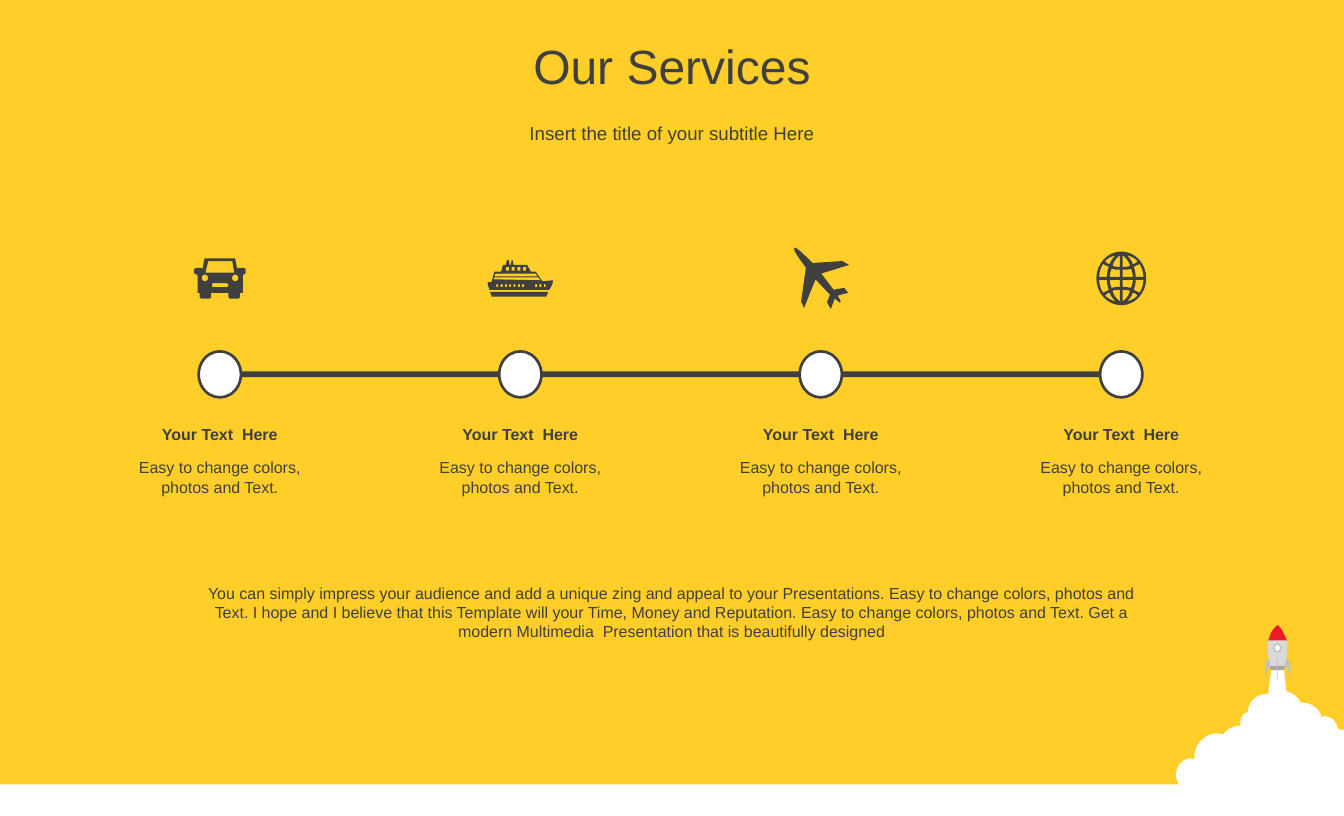
from pptx import Presentation
from pptx.dml.color import RGBColor as RGB
from pptx.enum.shapes import MSO_SHAPE as SHAPE
from pptx.enum.text import MSO_ANCHOR as ANCHOR, PP_ALIGN as ALIGN
from pptx.util import Pt

COLORS = {"back": "FFCE29", "dark": "404040", "white": "FFFFFF", "body": "D9D9D9",
          "base": "A6A6A6", "fin": "BFBFBF", "nose": "ED1C24"}
UNIT = 0.72  # points per step of the drawing grid


# Outlines on the grid: a pair is a corner, six numbers are a curve
def rect(x, y, w, h):
    return [(x, y), (x + w, y), (x + w, y + h), (x, y + h)]


def oval(cx, cy, rx, ry):
    a, b = 0.55 * rx, 0.55 * ry
    return [(cx + rx, cy),
            (cx + rx, cy + b, cx + a, cy + ry, cx, cy + ry),
            (cx - a, cy + ry, cx - rx, cy + b, cx - rx, cy),
            (cx - rx, cy - b, cx - a, cy - ry, cx, cy - ry),
            (cx + a, cy - ry, cx + rx, cy - b, cx + rx, cy)]


def flip(line, sx, sy, dx=0, dy=0):
    return [tuple(dy + sy * v if i % 2 else dx + sx * v for i, v in enumerate(step))
            for step in line]


def trace(line):
    spots = [line[0]]
    for step in line[1:]:
        ends = [spots[-1]] + list(zip(step[::2], step[1::2]))
        if len(ends) == 2:
            spots.append(step)
            continue
        for t in (i / 8 for i in range(1, 9)):
            u = 1 - t
            mix = (u ** 3, 3 * u * u * t, 3 * u * t * t, t ** 3)
            spots.append(tuple(sum(m * p[k] for m, p in zip(mix, ends)) for k in (0, 1)))
    return [(Pt(x * UNIT), Pt(y * UNIT)) for x, y in spots]


CAR = [
    [(43, 0), (45, 11), (46, 10, 47, 10, 47, 10), (51, 10), (53, 10, 54, 11, 54, 13),
     (54, 14), (54, 16, 53, 17, 51, 17), (51, 36), (48, 36), (48, 40),
     (48, 41, 47, 42, 46, 42), (38, 42), (37, 42, 36, 41, 36, 40), (36, 36), (18, 36),
     (18, 40), (18, 41, 17, 42, 16, 42), (8, 42), (7, 42, 6, 41, 6, 40), (6, 36),
     (4, 36), (4, 18), (3, 17), (2, 17, 0, 16, 0, 14), (0, 13), (0, 11, 2, 10, 3, 10),
     (7, 10), (8, 10, 8, 10, 9, 11), (11, 0)],
    [(15, 3), (12, 15), (42, 15), (40, 3)],
    [(20, 26), (19, 26, 19, 27, 19, 28), (19, 29, 19, 30, 20, 30), (34, 30),
     (35, 30, 36, 29, 36, 28), (36, 27, 35, 26, 34, 26)],
    oval(11.5, 20.5, 3.25, 3.5), oval(43, 20.5, 3.25, 3.5)]

SHIP = [
    [(25, 0), (26, 0), (27, 5), (41, 5), (45, 12), (50, 12), (57, 22), (68, 21),
     (68, 25, 66, 28, 64, 31), (2, 31), (1, 28, 0, 26, 0, 23), (4, 23), (7, 12),
     (14, 12), (16, 5), (19, 5), (20, 0), (22, 0), (23, 5), (24, 5)],
    [(2, 33), (63, 33), (63, 34, 62, 36, 61, 38), (4, 38), (4, 36, 3, 34, 2, 33)],
    [(7, 18), (6, 20), (55, 21), (53, 18)],
    [(8, 14), (7, 17), (52, 17), (50, 14)]]
SHIP += [rect(19 + 6 * i, 7, 3, 4) for i in range(4)]
SHIP += [rect(9 + 4.5 * i, 25, 2, 3) for i in range(12) if i not in (7, 8)]

PLANE = [
    [(57, 47), (46, 50), (47, 52, 50, 56, 49, 57), (48, 58, 45, 54, 43, 53), (39, 64),
     (35, 57), (38, 49), (23, 33), (11, 63), (8, 56), (13, 21), (9, 15, -1, 3, 1, 0),
     (3, -1, 14, 10, 20, 16), (51, 14), (58, 18), (29, 27), (42, 44),
     (45, 43, 53, 42, 53, 42)]]

# Gaps of one quarter of the globe, measured from its centre
GAPS = [
    [(12, 15), (11, 18, 9, 21, 6, 24), (10, 23, 14, 21, 17, 18), (15, 16, 14, 15, 12, 15)],
    [(1.5, 12), (1.5, 24), (5, 21, 8, 18, 9, 13), (7, 12, 4, 12, 1.5, 12)],
    [(1.5, 1.5), (1.5, 9), (4, 9, 7, 9, 10, 10), (11, 8, 12, 5, 12, 1.5)],
    [(15, 1.5), (15, 6, 14, 9, 13, 12), (15, 13, 17, 14, 19, 15), (21, 12, 23, 7, 23, 1.5)]]
GLOBE = [oval(26, 28, 26, 28)]
GLOBE += [flip(gap, sx, sy, 26, 28) for sx in (1, -1) for sy in (1, -1) for gap in GAPS]

CLOUD = [
    [(100, 0), (112, 0), (115, 27), (117, 28), (122, 29, 126, 33, 129, 37), (130, 39),
     (132, 39), (140, 39, 148, 44, 151, 52), (151, 54), (154, 53),
     (161, 53, 167, 58, 168, 65), (168, 66), (172, 67), (175, 67), (175, 152), (83, 154),
     (66, 154, 59, 147, 53, 139), (50, 142, 45, 145, 40, 143), (35, 141, 26, 137, 25, 130),
     (24, 128), (22, 130, 19, 131, 15, 131), (7, 131, 0, 123, 0, 114),
     (0, 105, 7, 97, 15, 97), (19, 98), (19, 96), (19, 82, 30, 71, 43, 71), (49, 72),
     (50, 71), (54, 66, 60, 63, 67, 63), (67, 61), (67, 54, 70, 50, 74, 49), (75, 49),
     (75, 46), (77, 37, 84, 30, 94, 30), (96, 30)]]

BODY = [(7, 47), (4, 33, -2, 14, 14, 0), (29, 15, 24, 35, 20, 47)]
BASE = [(6, 43), (22, 43), (20, 47), (7, 47)]
NOSE = [(14, 0), (19, 5, 21, 10, 23, 15), (23, 16), (4, 16), (5, 14), (6, 9, 9, 4, 14, 0)]
FIN = [(5, 35), (6, 42), (2, 46, 2, 53, 2, 56), (1, 52, -2, 40, 5, 35)]


# Drawing helpers
def paint(shape, fill, edge=None, width=1):
    shape.shadow.inherit = False
    shape.fill.solid()
    shape.fill.fore_color.rgb = RGB.from_string(COLORS[fill])
    if edge:
        shape.line.color.rgb = RGB.from_string(COLORS[edge])
        shape.line.width = Pt(width)
    else:
        shape.line.fill.background()


def add_shape(slide, kind, x, y, w, h, *style):
    paint(slide.shapes.add_shape(kind, Pt(x), Pt(y), Pt(w), Pt(h)), *style)


def draw(slide, x, y, lines, fill):
    pen = None
    for spots in map(trace, lines):
        if pen:
            pen.move_to(*spots[0])
        else:
            pen = slide.shapes.build_freeform(*spots[0])
        pen.add_line_segments(spots[1:], close=True)
    paint(pen.convert_to_shape(Pt(x), Pt(y)), fill)


def add_text(slide, x, y, w, h, text, size=12, bold=False, anchor=ANCHOR.TOP, before=0):
    frame = slide.shapes.add_textbox(Pt(x), Pt(y), Pt(w), Pt(h)).text_frame
    frame.word_wrap = True
    frame.vertical_anchor = anchor
    para = frame.paragraphs[0]
    para.text = text
    para.alignment = ALIGN.CENTER
    para.space_before = Pt(before)
    font = para.font
    font.name, font.size, font.bold = "Arial", Pt(size), bold
    font.color.rgb = RGB.from_string(COLORS["dark"])


# Regions
def add_head(slide, x, y, w):
    add_text(slide, x, y, w, 68.4, "Our Services", 36, False, ANCHOR.MIDDLE, 7.2)
    add_text(slide, x, y + 68.4, w, 34.56, "Insert the title of your subtitle Here",
             14, False, ANCHOR.MIDDLE, 2.8)


def add_rocket(slide, x, y):
    draw(slide, x - 66.24, y + 30.24, CLOUD, "white")
    for line, fill in ((BODY, "body"), (BASE, "base"), (NOSE, "nose")):
        draw(slide, x, y, [line], fill)
    add_shape(slide, SHAPE.OVAL, x + 7.2, y + 14.4, 5.04, 5.76, "white", "fin")
    add_shape(slide, SHAPE.RECTANGLE, x + 9.36, y + 25.92, 0.72, 14.4, "fin")
    for fin in (FIN, flip(FIN, -1, 1, 28)):
        draw(slide, x, y, [fin], "fin")


def add_stop(slide, mid, y, icon, w, h):
    draw(slide, mid - w * UNIT / 2, y - h * UNIT / 2, icon, "dark")
    add_shape(slide, SHAPE.OVAL, mid - 15.84, y + 54.72, 31.68, 34.56, "white", "dark", 2)
    add_text(slide, mid - 72.72, y + 105.84, 145.44, 21.6, "Your Text  Here", bold=True)
    add_text(slide, mid - 72.72, y + 131.04, 145.44, 36,
             "Easy to change colors, photos and Text.")


def add_track(slide, x, y, step):
    icons = ((CAR, 54, 42), (SHIP, 68, 38), (PLANE, 57, 64), (GLOBE, 52, 56))
    add_shape(slide, SHAPE.RECTANGLE, x, y + 69.84, step * (len(icons) - 1), 4.32, "dark")
    for i, icon in enumerate(icons):
        add_stop(slide, x + i * step, y, *icon)


def main():
    deck = Presentation()
    deck.slide_width, deck.slide_height = Pt(1008), Pt(612)
    slide = deck.slides.add_slide(deck.slide_layouts[6])
    back = slide.background.fill
    back.solid()
    back.fore_color.rgb = RGB.from_string(COLORS["back"])
    # Ground strip and rocket
    add_shape(slide, SHAPE.RECTANGLE, 0, 588.24, 1008, 23.76, "white")
    add_rocket(slide, 948.24, 468.72)
    # Heading, timeline and closing text
    add_head(slide, 0, 14.4, 1008)
    add_track(slide, 164.88, 208.8, 225.36)
    add_text(slide, 146.88, 434.16, 714.24, 50.4,
             "You can simply impress your audience and add a unique zing and appeal to your "
             "Presentations. Easy to change colors, photos and Text. I hope and I believe that "
             "this Template will your Time, Money and Reputation. Easy to change colors, photos "
             "and Text. Get a modern Multimedia  Presentation that is beautifully designed")
    deck.save("out.pptx")


if __name__ == "__main__":
    main()
